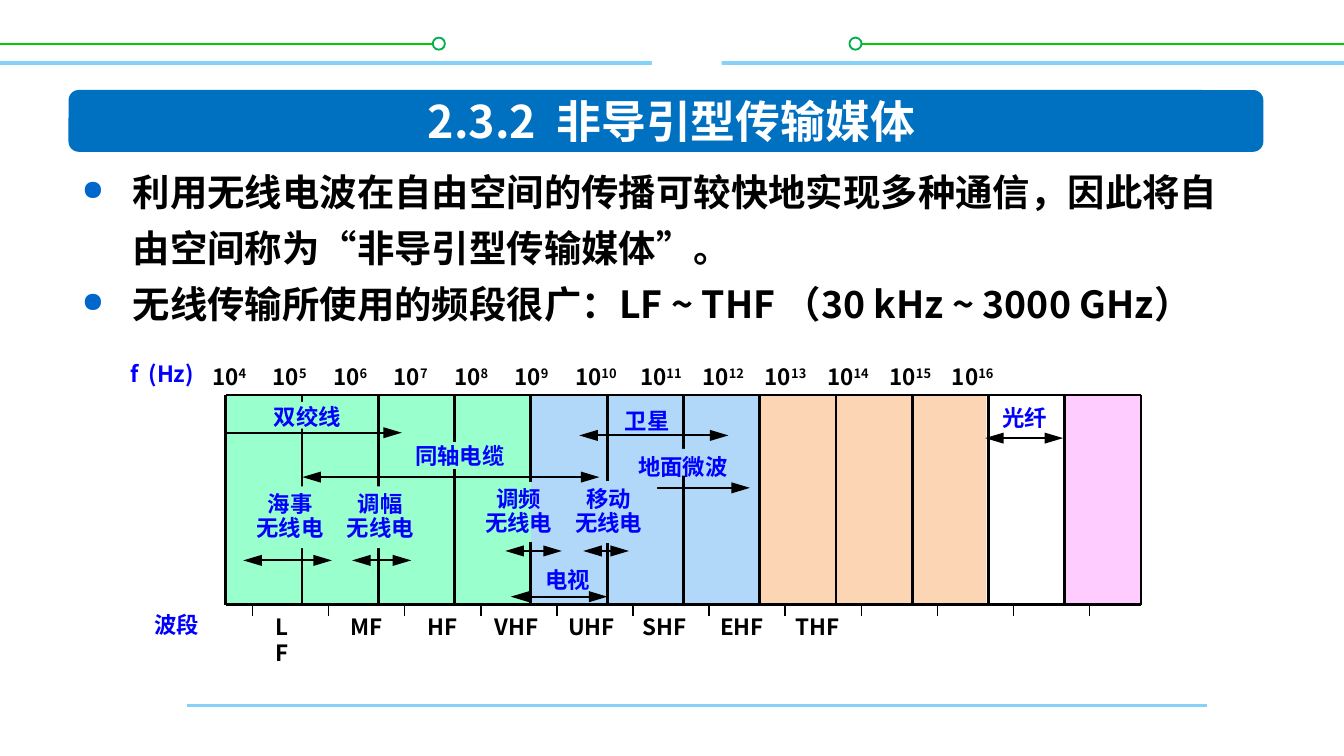
from lxml import etree
from pptx import Presentation
from pptx import util as u
from pptx.dml.color import RGBColor
from pptx.enum import shapes, text
from pptx.oxml.ns import qn

FONT = "Noto Sans CJK SC"
BLACK, WHITE, BLUE = "000000", "FFFFFF", "0000FF"
GREEN, SKY, PEACH, PINK = "99FFCC", "B1D8F9", "FCD5B5", "FFCCFF"
PALE_BLUE = "85D1F7"
LEFT, RIGHT, TOP, BOTTOM = 1.68, 8.49, 2.94, 4.5
COLUMN = (RIGHT - LEFT) / 12
BOTH = ("headEnd", "tailEnd")


def rgb(color):
    return RGBColor.from_string(color)


def add_box(s, x, y, w, h, fill, kind=shapes.MSO_SHAPE.RECTANGLE, line=None):
    sp = s.shapes.add_shape(kind, *map(u.Inches, (x, y, w, h)))
    sp.shadow.inherit = False
    sp.fill.solid()
    sp.fill.fore_color.rgb = rgb(fill)
    if line:
        sp.line.color.rgb = rgb(line)
        sp.line.width = u.Pt(1)
    else:
        sp.line.fill.background()
    return sp


def add_line(s, x1, y1, x2, y2, color=BLACK, width=1.0, ends=()):
    cx = s.shapes.add_connector(shapes.MSO_CONNECTOR.STRAIGHT,
                                *map(u.Inches, (x1, y1, x2, y2)))
    cx.line.color.rgb = rgb(color)
    cx.line.width = u.Pt(width)
    ln = cx.line._get_or_add_ln()
    for end in ends:
        etree.SubElement(ln, qn("a:" + end), type="triangle", w="med", len="lg")
    etree.SubElement(cx._element.spPr, qn("a:effectLst"))
    return cx


def style(font, size, color):
    font.name, font.size, font.bold = FONT, u.Pt(size), True
    font.color.rgb = rgb(color)
    etree.SubElement(font._element, qn("a:ea"), typeface=FONT)


def add_text(s, x, y, w, h, words, size=12, color=BLUE, wrap=False,
             align=text.PP_ALIGN.LEFT, spacing=None):
    sp = s.shapes.add_textbox(*map(u.Inches, (x, y, w, h)))
    tf = sp.text_frame
    tf.word_wrap = wrap
    tf.text = words
    for p in tf.paragraphs:
        p.alignment = align
        p.line_spacing = spacing
        for r in p.runs:
            style(r.font, size, color)
    return sp


def add_bullet(p):
    pPr = p._p.get_or_add_pPr()
    pPr.set("marL", str(u.Inches(0.38)))
    pPr.set("indent", str(u.Inches(-0.38)))
    color = etree.SubElement(pPr, qn("a:buClr"))
    etree.SubElement(color, qn("a:srgbClr"), val="0066CC")
    etree.SubElement(pPr, qn("a:buSzPct"), val="75000")
    etree.SubElement(pPr, qn("a:buChar"), char="●")


def add_frame(s):
    oval = shapes.MSO_SHAPE.OVAL
    for x1, x2, dot in [(0, 3.24, 3.22), (6.32, 10, 6.32)]:
        add_line(s, x1, 0.33, x2, 0.33, "00CC00")
        add_box(s, dot, 0.28, 0.09, 0.09, WHITE, oval, "00B050")
    add_line(s, 1.39, 5.25, 8.98, 5.25, PALE_BLUE, 1.5)
    add_line(s, 0, 0.47, 10, 0.47, PALE_BLUE, 2)
    add_box(s, 4.85, 0.14, 0.52, 0.51, WHITE)
    add_box(s, 0.51, 0.67, 8.89, 0.46, "0070C0", shapes.MSO_SHAPE.ROUNDED_RECTANGLE)


def add_heading_and_bullets(s):
    title = add_text(s, 1.37, 0.71, 7.25, 0.37, "2.3.2  非导引型传输媒体", 24, WHITE, True,
                     text.PP_ALIGN.CENTER)
    title.text_frame.vertical_anchor = text.MSO_ANCHOR.MIDDLE
    body = add_text(s, 0.51, 1.13, 8.89, 3.63,
                    "利用无线电波在自由空间的传播可较快地实现多种通信，因此将自由空间称为“非导引型传输媒体”。\n"
                    "无线传输所使用的频段很广：\tLF ~ THF （30 kHz ~ 3000 GHz）",
                    20, BLACK, True, spacing=u.Pt(30))
    for p in body.text_frame.paragraphs:
        add_bullet(p)


def add_bands(s):
    for x, w, fill in [(LEFT, 2.29, GREEN), (3.95, 1.7, SKY),
                       (5.65, 1.69, PEACH), (7.91, 0.58, PINK)]:
        add_box(s, x, TOP, w, BOTTOM - TOP, fill)
    for y in (TOP, BOTTOM):
        add_line(s, LEFT, y, RIGHT, y, width=1.5)
    for i in range(13):
        x = LEFT + i * COLUMN
        spans = [(TOP, 3.59), (4.03, BOTTOM)] if i == 4 else [(TOP, BOTTOM)]
        for y1, y2 in spans:
            add_line(s, x, y1, x, y2, width=1.5)
    for i in range(12):
        x = 1.88 + i * 0.566
        add_line(s, x, 4.51, x, 4.58, width=0.75)


def add_frequency_scale(s):
    add_text(s, 0.87, 2.63, 0.73, 0.3, "f  (Hz)")
    sp = add_text(s, 1.48, 2.65, 7.39, 0.3, "", wrap=True)
    p = sp.text_frame.paragraphs[0]
    tabs = etree.SubElement(p._p.get_or_add_pPr(), qn("a:tabLst"))
    for i in range(1, 13):
        stop = 0.45 * i if i <= 6 else 2.72 + 0.464 * (i - 6)
        etree.SubElement(tabs, qn("a:tab"), pos=str(u.Inches(stop)), algn="l")
    for exponent in range(4, 17):
        base = "10" if exponent == 4 else "\t10"
        for words, raised in [(base, False), (str(exponent), True)]:
            r = p.add_run()
            r.text = words
            style(r.font, 12, BLACK)
            if raised:
                r.font._element.set("baseline", "30000")


def add_band_names(s):
    add_text(s, 1.05, 4.5, 0.53, 0.3, "波段")
    for name, x, w in [("LF", 1.95, 0.39), ("MF", 2.51, 0.47), ("HF", 3.08, 0.43),
                       ("VHF", 3.58, 0.55), ("UHF", 4.13, 0.56), ("SHF", 4.68, 0.53),
                       ("EHF", 5.26, 0.53), ("THF", 5.82, 0.54)]:
        add_text(s, x, 4.51, w, 0.3, name, color=BLACK, wrap=name == "LF")


def add_ranges(s):
    add_line(s, LEFT, 3.22, 2.99, 3.22, ends=("tailEnd",))
    add_line(s, 7.33, 3.26, 7.91, 3.26, width=0.75, ends=BOTH)
    for x1, x2, y in [(4.31, 5.42, 3.24), (4.67, 5.58, 3.63), (1.81, 2.47, 4.17),
                      (2.62, 3.06, 4.17), (3.76, 4.18, 4.1), (4.34, 4.68, 4.1),
                      (3.8, 4.52, 4.44)]:
        add_line(s, x1, y, x2, y, ends=BOTH)


def add_media(s):
    for x, y, w, h, fill in [(4.65, 3.34, 0.88, 0.2, SKY), (2.94, 3.29, 0.88, 0.2, GREEN),
                             (1.88, 2.99, 0.72, 0.2, GREEN), (1.81, 3.62, 0.7, 0.46, GREEN),
                             (2.48, 3.62, 0.71, 0.46, GREEN), (4.18, 3.58, 0.71, 0.46, SKY),
                             (4.6, 2.99, 0.42, 0.23, SKY), (4.02, 4.15, 0.42, 0.23, SKY)]:
        add_box(s, x, y, w, h, fill)
    for words, x, y, w in [("光纤", 7.36, 2.96, 0.53), ("地面微波", 4.65, 3.32, 0.87),
                           ("同轴电缆", 2.99, 3.24, 0.87), ("双绞线", 1.94, 2.95, 0.71),
                           ("卫星", 4.55, 2.98, 0.53), ("电视", 3.96, 4.16, 0.53)]:
        add_text(s, x, y, w, 0.3, words)
    for words, x, y in [("海事", 1.81, 3.62), ("调幅", 2.48, 3.62),
                        ("调频", 3.51, 3.58), ("移动", 4.18, 3.58)]:
        add_text(s, x, y, 0.7, 0.46, words + "\n无线电",
                 align=text.PP_ALIGN.CENTER, spacing=0.9)
    add_line(s, 2.25, 3.55, 4.46, 3.55, ends=BOTH)


def main():
    prs = Presentation()
    prs.slide_width = u.Inches(10)
    prs.slide_height = prs.slide_width * 9 // 16
    s = prs.slides.add_slide(prs.slide_layouts[6])
    add_frame(s)
    add_heading_and_bullets(s)
    add_bands(s)
    add_frequency_scale(s)
    add_band_names(s)
    add_ranges(s)
    add_media(s)
    prs.save("out.pptx")


if __name__ == "__main__":
    main()
